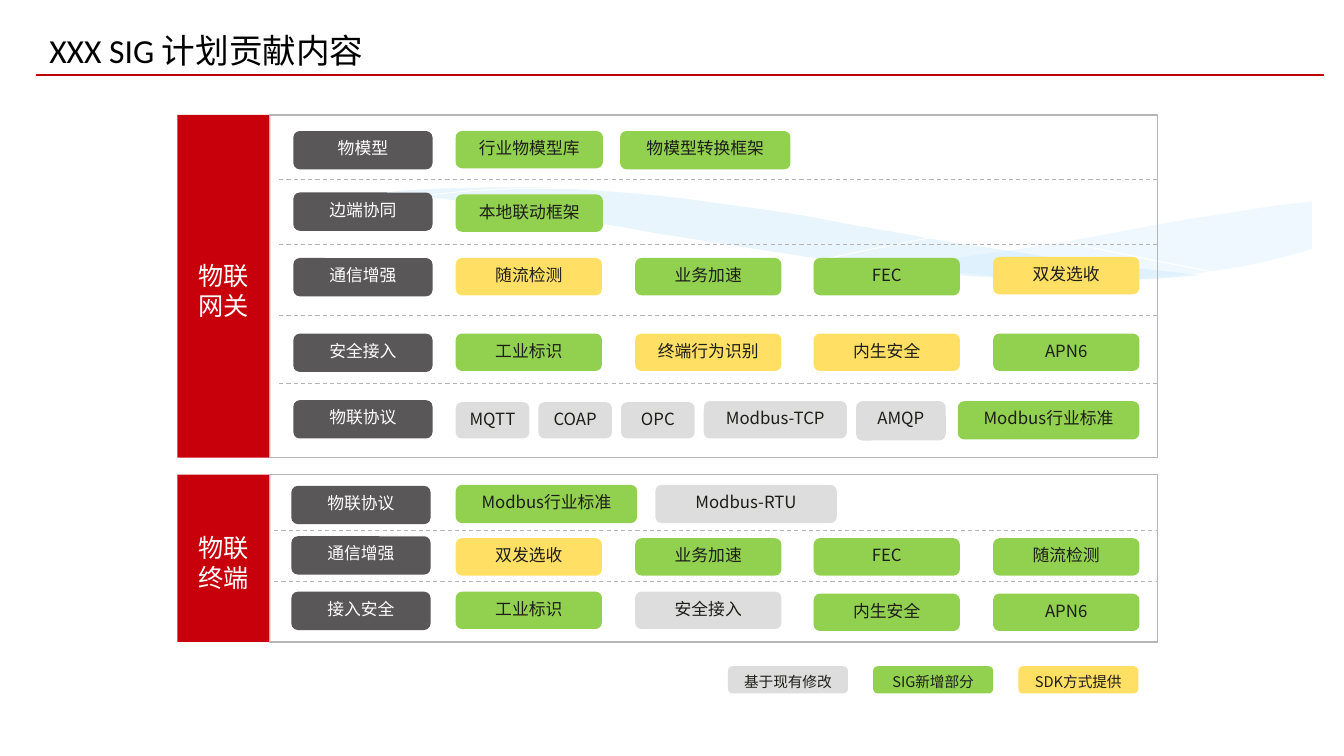
from pptx import Presentation
from pptx.dml.color import RGBColor
from pptx.enum.dml import MSO_LINE
from pptx.enum.shapes import MSO_CONNECTOR, MSO_SHAPE
from pptx.enum.text import MSO_ANCHOR, PP_ALIGN
from pptx.oxml.ns import qn
from pptx.util import Pt
from lxml import etree

PX = 9144  # EMU per px, 100 px to the inch
RECT, ROUND = MSO_SHAPE.RECTANGLE, MSO_SHAPE.ROUNDED_RECTANGLE
STRAIGHT, DASH = MSO_CONNECTOR.STRAIGHT, MSO_LINE.DASH
CENTER, LEFT = PP_ALIGN.CENTER, PP_ALIGN.LEFT
TOP, MIDDLE = MSO_ANCHOR.TOP, MSO_ANCHOR.MIDDLE

CALIBRI, NOTO = "Calibri", "Noto Sans CJK SC"
BLACK = RGBColor(0x00, 0x00, 0x00)
WHITE = RGBColor(0xFF, 0xFF, 0xFF)
INK = RGBColor(0x1D, 0x1D, 0x1A)
RED = RGBColor(0xC7, 0x00, 0x0B)
RULE_RED = RGBColor(0xC0, 0x00, 0x00)
BORDER = RGBColor(0xB5, 0xB5, 0xB5)
SLATE = RGBColor(0x59, 0x57, 0x57)
GREY = RGBColor(0xDD, 0xDD, 0xDD)
GREEN = RGBColor(0x92, 0xD0, 0x50)
YELLOW = RGBColor(0xFF, 0xDF, 0x64)
SKY = RGBColor(0xC6, 0xE7, 0xFC)

# Background waves: (points, opacity in percent)
WAVES = [
    ([(1300, 200), (1265, 204), (1227, 210), (1188, 216), (1147, 223), (1073, 237),
      (1005, 248), (941, 257), (882, 265), (921, 269), (958, 271), (993, 275),
      (1041, 277), (1085, 278), (1126, 277), (1163, 274), (1196, 270), (1228, 265),
      (1257, 259), (1284, 252), (1301, 247), (1301, 200)], 29),
    ([(1190, 273), (1154, 269), (1116, 265), (1076, 260), (1034, 254), (989, 247),
      (941, 240), (891, 231), (839, 222), (798, 214), (759, 208), (721, 203),
      (686, 198), (652, 194), (619, 191), (589, 189), (560, 187), (532, 186),
      (482, 186), (437, 187), (399, 189), (382, 191), (431, 196), (483, 203),
      (539, 211), (599, 222), (654, 232), (706, 240), (755, 248), (802, 255),
      (846, 261), (887, 266), (926, 270), (963, 274), (998, 276), (1046, 278),
      (1104, 278), (1143, 277), (1167, 275)], 40),
]
WAVE_LINES = [
    [(412, 195), (438, 192), (470, 189), (516, 187), (577, 187), (625, 189),
     (680, 192), (742, 197), (811, 204), (886, 213), (970, 226), (1060, 241),
     (1158, 261), (1210, 271)],
    [(818, 257), (870, 246), (927, 235), (997, 223), (1075, 210), (1155, 199),
     (1213, 192), (1267, 187), (1300, 185)],
]


def chip(text, fill, x, w, y=0, h=37):
    return text, fill, x, w, y, h


def grid(*items):
    """Four equal columns; an item is (text, fill) or (text, fill, y offset)."""
    return [chip(text, fill, 276 + round(i * 533 / 3), 145, *dy)
            for i, (text, fill, *dy) in enumerate(items)]


# Rows: (label, label y, chips y, chips), relative to the panel
GATEWAY_ROWS = [
    ("物模型", 16, 16, [chip("行业物模型库", GREEN, 276, 146),
                     chip("物模型转换框架", GREEN, 439, 169, h=38)]),
    ("边端协同", 77, 79, [chip("本地联动框架", GREEN, 276, 146)]),
    ("通信增强", 142, 142, grid(("随流检测", YELLOW), ("业务加速", GREEN),
                            ("FEC", GREEN), ("双发选收", YELLOW, -1))),
    ("安全接入", 217, 217, grid(("工业标识", GREEN), ("终端行为识别", YELLOW),
                            ("内生安全", YELLOW), ("APN6", GREEN))),
    ("物联协议", 283, 284, [chip(text, GREY, 276 + 82 * i, 73, 1, 36)
                        for i, text in enumerate(("MQTT", "COAP", "OPC"))]
     + [chip("Modbus-TCP", GREY, 522, 142), chip("AMQP", GREY, 673, 89, h=39),
        chip("Modbus行业标准", GREEN, 774, 180, h=38)]),
]
TERMINAL_ROWS = [
    ("物联协议", 11, 10, [chip("Modbus行业标准", GREEN, 276, 180, h=38),
                      chip("Modbus-RTU", GREY, 474, 180, h=38)]),
    ("通信增强", 61, 63, grid(("双发选收", YELLOW), ("业务加速", GREEN),
                          ("FEC", GREEN), ("随流检测", GREEN))),
    ("接入安全", 116, 116, grid(("工业标识", GREEN), ("安全接入", GREY),
                            ("内生安全", GREEN, 2), ("APN6", GREEN, 2))),
]
LEGEND = [("基于现有修改", GREY), ("SIG新增部分", GREEN), ("SDK方式提供", YELLOW)]


def put_text(sp, text, size, color, font=NOTO, align=CENTER, anchor=TOP, insets=(4, 5, 4, 5)):
    tf = sp.text_frame
    tf.word_wrap = True
    tf.vertical_anchor = anchor
    tf.margin_left, tf.margin_top, tf.margin_right, tf.margin_bottom = (v * PX for v in insets)
    tf.text = text
    for p in tf.paragraphs:
        p.alignment = align
        for r in p.runs:
            r.font.size, r.font.name = Pt(size), font
            r.font.color.rgb = color
            etree.SubElement(r.font._element, qn("a:ea"), typeface=NOTO)


def add_box(s, kind, x, y, w, h, fill):
    sp = s.shapes.add_shape(kind, x * PX, y * PX, w * PX, h * PX)
    sp.shadow.inherit = False
    sp.line.fill.background()
    if fill is None:
        sp.fill.background()
    else:
        sp.fill.solid()
        sp.fill.fore_color.rgb = fill
    return sp


def add_line(s, x1, x2, y, color, width):
    line = s.shapes.add_connector(STRAIGHT, x1 * PX, y * PX, x2 * PX, y * PX)
    line.line.color.rgb, line.line.width = color, Pt(width)
    etree.SubElement(line._element.spPr, qn("a:effectLst"))
    return line


def add_outline(s, points, close):
    fb = s.shapes.build_freeform(*points[0], scale=PX)
    fb.add_line_segments(points[1:], close=close)
    sp = fb.convert_to_shape()
    sp.shadow.inherit = False
    return sp


def add_waves(s):
    for points, opacity in WAVES:
        sp = add_outline(s, points, True)
        sp.line.fill.background()
        sp.fill.solid()
        sp.fill.fore_color.rgb = SKY
        color = sp._element.spPr.find(qn("a:solidFill")).find(qn("a:srgbClr"))
        etree.SubElement(color, qn("a:alpha"), val=str(opacity * 1000))
    for points in WAVE_LINES:
        sp = add_outline(s, points, False)
        sp.fill.background()
        sp.line.color.rgb, sp.line.width = WHITE, Pt(0)


def add_title(s, x, y, w, h):
    sp = s.shapes.add_textbox(x * PX, y * PX, w * PX, h * PX)
    put_text(sp, "XXX SIG 计划贡献内容", 24, BLACK, CALIBRI, LEFT, insets=(10, 5, 10, 5))
    add_line(s, x - 3, x + 1274, y + 49, RULE_RED, 1.5)


def add_panel(s, x, y, w, h, name, rows, label_x, divider_x, dividers):
    # Red name tab
    tab = add_box(s, RECT, x, y, 92, h, RED)
    put_text(tab, name, 18, WHITE, anchor=MIDDLE, insets=(8, 8, 8, 0))
    # Dashed dividers
    for dy in dividers:
        add_line(s, x + divider_x, x + w, y + dy, BORDER, 0.75).line.dash_style = DASH
    # Row labels and chips
    for label, label_y, chips_y, chips in rows:
        sp = add_box(s, ROUND, x + label_x, y + label_y, 138, 38, SLATE)
        put_text(sp, label, 12, WHITE)
        for text, fill, cx, cw, cy, ch in chips:
            sp = add_box(s, ROUND, x + cx, y + chips_y + cy, cw, ch, fill)
            put_text(sp, text, 12, INK)
    # Frame
    frame = add_box(s, RECT, x + 91, y, w - 91, h, None)
    frame.line.color.rgb, frame.line.width = BORDER, Pt(1)


def add_legend(s, x, y, w, h):
    for i, (text, fill) in enumerate(LEGEND):
        sp = add_box(s, ROUND, x + 144 * i, y, w, h, fill)
        put_text(sp, text, 10.5, INK)


def main():
    prs = Presentation()
    prs.slide_width, prs.slide_height = 1333 * PX, 750 * PX
    s = prs.slides.add_slide(prs.slide_layouts[6])
    add_waves(s)
    add_title(s, 39, 25, 682, 50)
    add_panel(s, 176, 114, 972, 340, "物联\n网关", GATEWAY_ROWS, 115, 101, (64, 129, 199, 266))
    add_panel(s, 176, 471, 972, 166, "物联\n终端", TERMINAL_ROWS, 113, 96, (55, 106))
    add_legend(s, 722, 661, 119, 27)
    prs.save("out.pptx")


if __name__ == "__main__":
    main()
